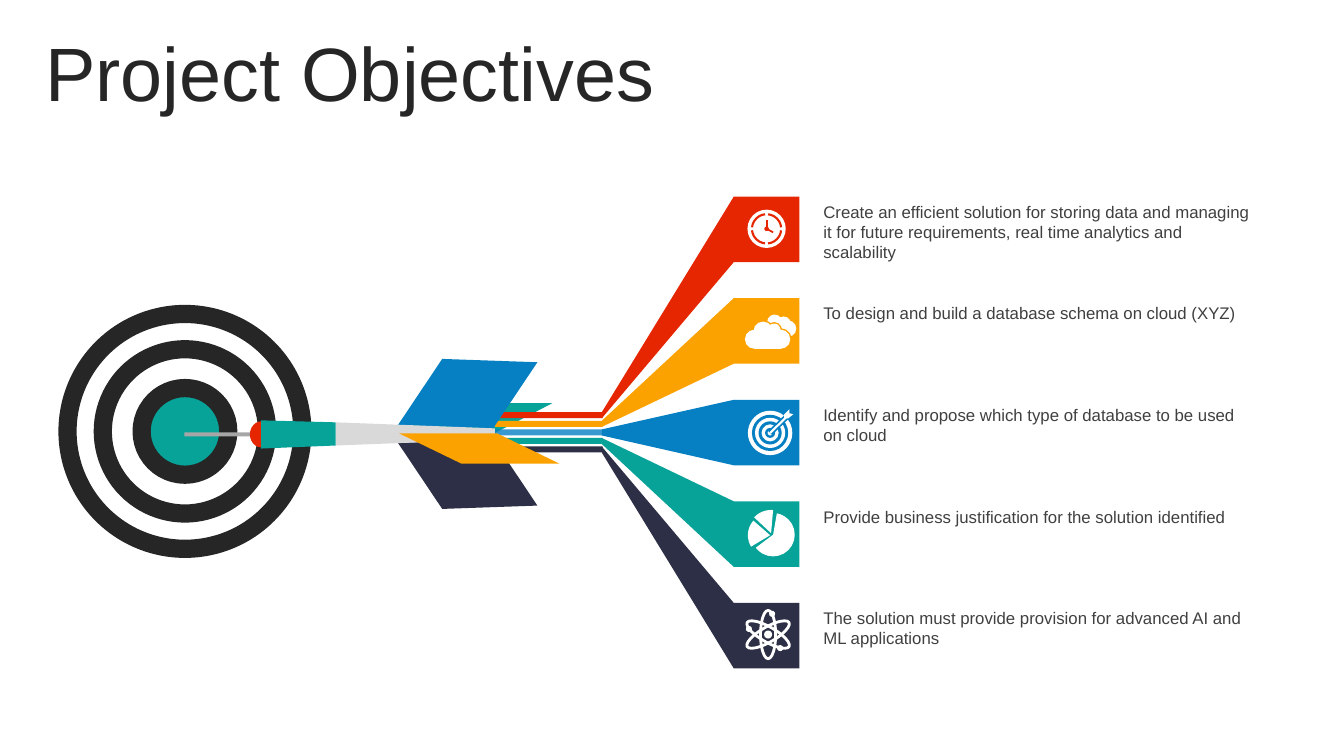
import dataclasses
import pptx
import pptx.util
import pptx.dml.color
import pptx.enum.shapes
import pptx.enum.text
import pptx.oxml.ns
import lxml.etree

KIND = pptx.enum.shapes.MSO_SHAPE


@dataclasses.dataclass(frozen=True)
class Theme:
    font: str = "Arial"
    title: int = 54
    body: int = 12
    dark: str = "262626"
    text: str = "404040"
    white: str = "FFFFFF"
    red: str = "E62601"
    gold: str = "FBA200"
    blue: str = "0680C3"
    teal: str = "07A398"
    navy: str = "2C2F45"
    pale: str = "D9D9D9"
    gray: str = "A6A6A6"


T = Theme()
HUES = (T.red, T.gold, T.blue, T.teal, T.navy)
GOALS = (
    "Create an efficient solution for storing data and managing it for future "
    "requirements, real time analytics and scalability",
    "To design and build a database schema on cloud (XYZ)",
    "Identify and propose which type of database to be used on cloud",
    "Provide business justification for the solution identified",
    "The solution must provide provision for advanced AI and ML applications",
)
TOP, STEP, SIDE = 19.5, 10.08, 6.5
BOX, BEND, TAIL = 72.8, 59.7, 49.1
STRIP, GAP, THIN = 40.9, 0.85, 0.6


def cell(n):
    return pptx.util.Emu(round(n * pptx.util.Inches(0.1)))


def tint(hue):
    return pptx.dml.color.RGBColor.from_string(hue)


def paint(shape, fill, edge=None, thick=0):
    shape.shadow.inherit = False
    if fill:
        shape.fill.solid()
        shape.fill.fore_color.rgb = tint(fill)
    else:
        shape.fill.background()
    if edge:
        shape.line.color.rgb = tint(edge)
        shape.line.width = pptx.util.Pt(thick)
    else:
        shape.line.fill.background()
    return shape


def form(page, kind, x, y, w, h, fill=None, edge=None, thick=0, turn=0, flip=False, adj=()):
    shape = page.shapes.add_shape(kind, cell(x), cell(y), cell(w), cell(h))
    for i, n in enumerate(adj):
        shape.adjustments[i] = n
    shape.rotation = turn
    if flip:
        shape.element.spPr.xfrm.set("flipH", "1")
    return paint(shape, fill, edge, thick)


def disc(page, x, y, size, fill=None, edge=None, thick=0):
    half = size / 2
    return form(page, KIND.OVAL, x - half, y - half, size, size, fill, edge, thick)


def sector(page, kind, x, y, size, start, end, **look):
    half = size / 2
    angles = (start * 0.6, end * 0.6)
    form(page, kind, x - half, y - half, size, size, adj=angles, **look)


def poly(page, fill, *points):
    spots = [(cell(x), cell(y)) for x, y in points]
    pen = page.shapes.build_freeform(*spots[0])
    pen.add_line_segments(spots[1:], close=True)
    return paint(pen.convert_to_shape(), fill)


def line(page, start, end, hue, thick):
    ends = [cell(n) for n in (*start, *end)]
    link = page.shapes.add_connector(pptx.enum.shapes.MSO_CONNECTOR.STRAIGHT, *ends)
    link.line.color.rgb = tint(hue)
    link.line.width = pptx.util.Pt(thick)
    lxml.etree.SubElement(link.element.spPr, pptx.oxml.ns.qn("a:effectLst"))


def write(page, text, x, y, w, h, size=T.body, hue=T.text, middle=False, lead=None):
    frame = page.shapes.add_textbox(cell(x), cell(y), cell(w), cell(h)).text_frame
    frame.word_wrap = True
    if middle:
        frame.vertical_anchor = pptx.enum.text.MSO_ANCHOR.MIDDLE
    para = frame.paragraphs[0]
    if lead:
        para.line_spacing = lead
    run = para.add_run()
    run.text = text
    run.font.name = T.font
    run.font.size = pptx.util.Pt(size)
    run.font.color.rgb = tint(hue)


def board(page):
    for size, fill in ((23.3, T.white), (16.3, T.white), (8.6, T.teal)):
        disc(page, 18.35, 42.8, size, fill, T.dark, 13)


def bands(page):
    for i, (hue, goal) in enumerate(zip(HUES, GOALS)):
        top, strip = TOP + STEP * i, STRIP + GAP * i
        write(page, goal, 80.7, top, 44.4, 5)
        form(page, KIND.RECTANGLE, BOX, top, SIDE, SIDE, hue)
        bar = form(page, KIND.RECTANGLE, TAIL, strip, BEND - TAIL + 0.1, THIN, hue)
        if hue == T.blue:
            shade = bar.fill._xPr.find(".//" + pptx.oxml.ns.qn("a:srgbClr"))
            lxml.etree.SubElement(shade, pptx.oxml.ns.qn("a:alpha"), val="80000")
        poly(page, hue, (BEND, strip), (BOX, top), (BOX, top + SIDE), (BEND, strip + THIN))


def dart(page):
    fin = KIND.PARALLELOGRAM
    form(page, KIND.RECTANGLE, 18.3, 42.9, 8, 0.4, T.gray)
    form(page, fin, 39.6, 43.7, 13.6, 6.7, T.navy, turn=-2, flip=True, adj=(0.62,))
    form(page, fin, 39.6, 35.7, 13.6, 6.7, T.blue, turn=2, adj=(0.62,))
    poly(page, T.pale, (33.3, 41.9), (49.1, 42.5), (49.1, 43.6), (33.3, 44.2))
    form(page, KIND.CHORD, 24.8, 41.8, 2.3, 2.6, T.red, adj=(53.91, 162))
    poly(page, T.teal, (25.9, 41.7), (33.3, 41.9), (33.3, 44.2), (25.9, 44.5))
    form(page, fin, 39.6, 43, 15.9, 3, T.gold, flip=True, adj=(2.06,))


def clock(page):
    x, y = 76.05, 22.7
    disc(page, x, y, 3.8, T.white)
    for turn in range(0, 360, 90):
        sector(page, KIND.ARC, x, y, 2.9, turn + 6, turn + 84, edge=T.red, thick=1.5)
    line(page, (x, y), (x, 21.8), T.red, 1.5)
    line(page, (x, y), (76.7, 23.05), T.red, 1.25)
    disc(page, x, y, 0.45, T.red)


def cloud(page):
    for x, y, size in ((76.85, 31.95, 1.5), (77.75, 32.1, 1.4), (78.2, 32.6, 1.6)):
        disc(page, x, y, size, T.white)
    for edge in (T.gold, None):
        form(page, KIND.ROUNDED_RECTANGLE, 73.9, 32.7, 4.5, 1.9, T.white, edge, 2, adj=(0.5,))
        disc(page, 75.7, 32.85, 1.9, T.white, edge, 2)
        disc(page, 76.8, 32.75, 1.3, T.white, edge, 2)


def target(page):
    x, y = 76.4, 42.95
    for i, size in enumerate((4.4, 3.6, 3, 2.3, 1.7, 1, 0.5)):
        disc(page, x, y, size, T.blue if i % 2 else T.white)
    for hue, thick in ((T.blue, 4), (T.white, 1.5)):
        line(page, (x, y), (78.1, 41.3), hue, thick)
    poly(page, T.white, (77.8, 41.1), (78.3, 40.6), (78.3, 41),
         (78.7, 41.1), (78.2, 41.5), (77.8, 41.5))


def chart(page):
    for x, y, size, start, end in ((76.7, 53.05, 4.3, 280, 143),
                                   (76.4, 53.1, 4.4, 149, 221),
                                   (76.5, 52.9, 4.6, 223, 275)):
        sector(page, KIND.PIE, x, y, size, start, end, fill=T.white)


def atom(page):
    x, y = 76.2, 62.95
    for turn in (0, 60, 120):
        form(page, KIND.OVAL, x - 0.75, y - 2.4, 1.5, 4.8, edge=T.white, thick=2, turn=turn)
    disc(page, x, y, 0.8, T.white)
    for spot in ((74.3, 62.4), (76.6, 60.9), (77.4, 64.3)):
        disc(page, *spot, 0.6, T.white)


def main():
    deck = pptx.Presentation()
    deck.slide_width, deck.slide_height = cell(133.33), cell(75)
    page = deck.slides.add_slide(deck.slide_layouts[6])
    write(page, "Project Objectives", 3.5, 3.7, 126.6, 7.9,
          size=T.title, hue=T.dark, middle=True, lead=0.9)
    board(page)
    form(page, KIND.PARALLELOGRAM, 39.5, 40, 15.3, 3, T.teal, adj=(1.92,))
    bands(page)
    dart(page)
    for icon in (clock, cloud, target, chart, atom):
        icon(page)
    deck.save("out.pptx")


if __name__ == "__main__":
    main()
